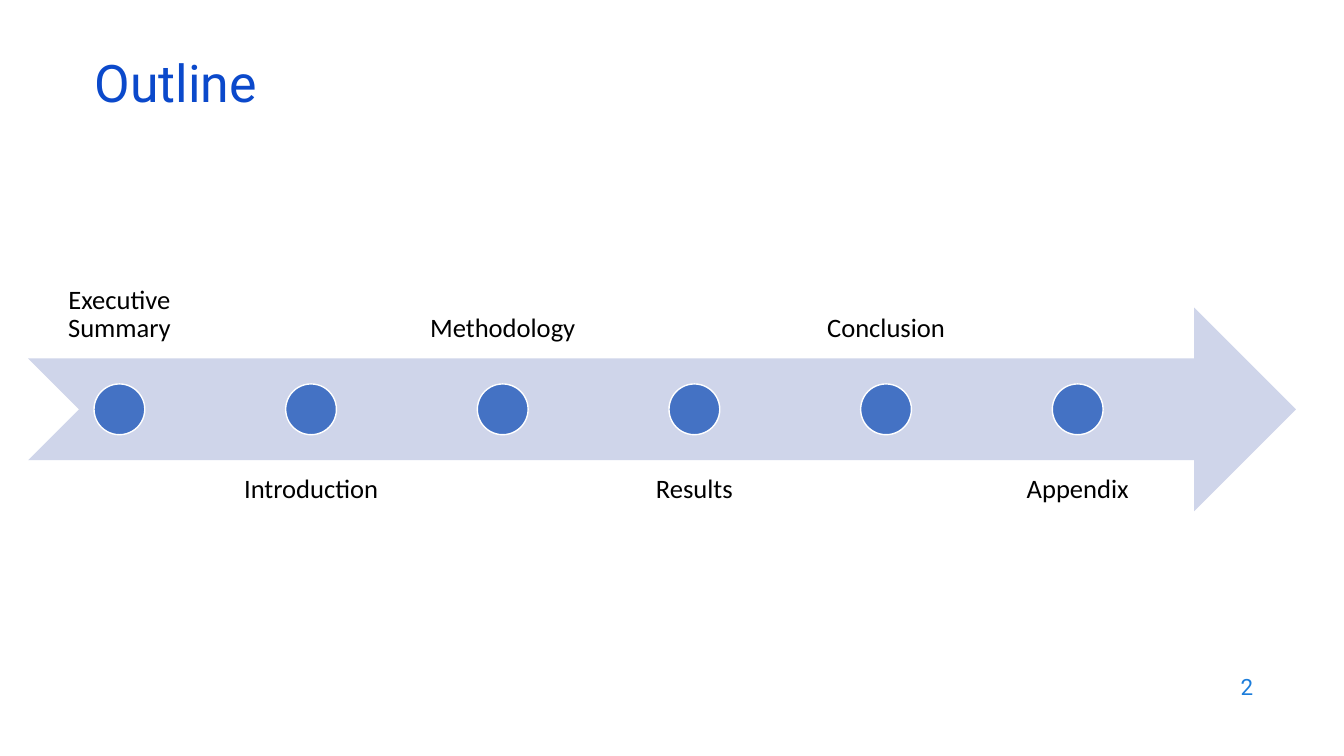
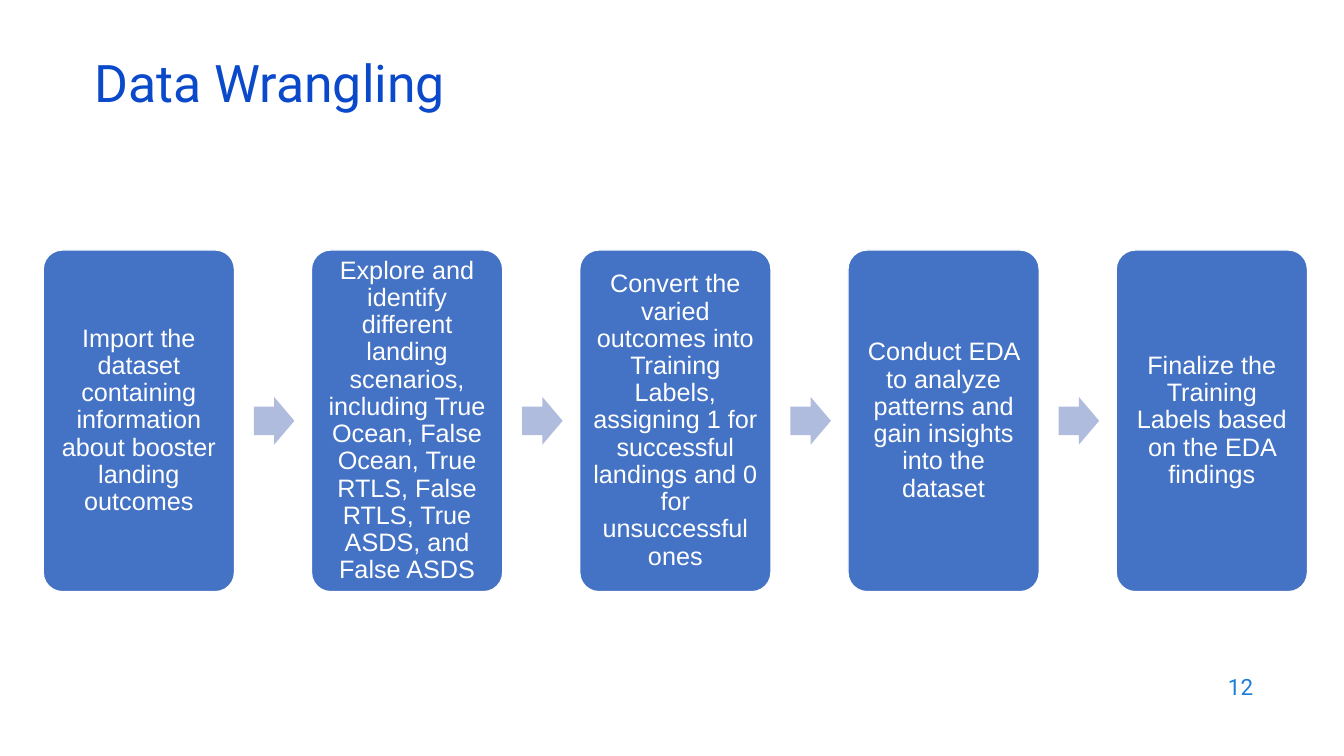
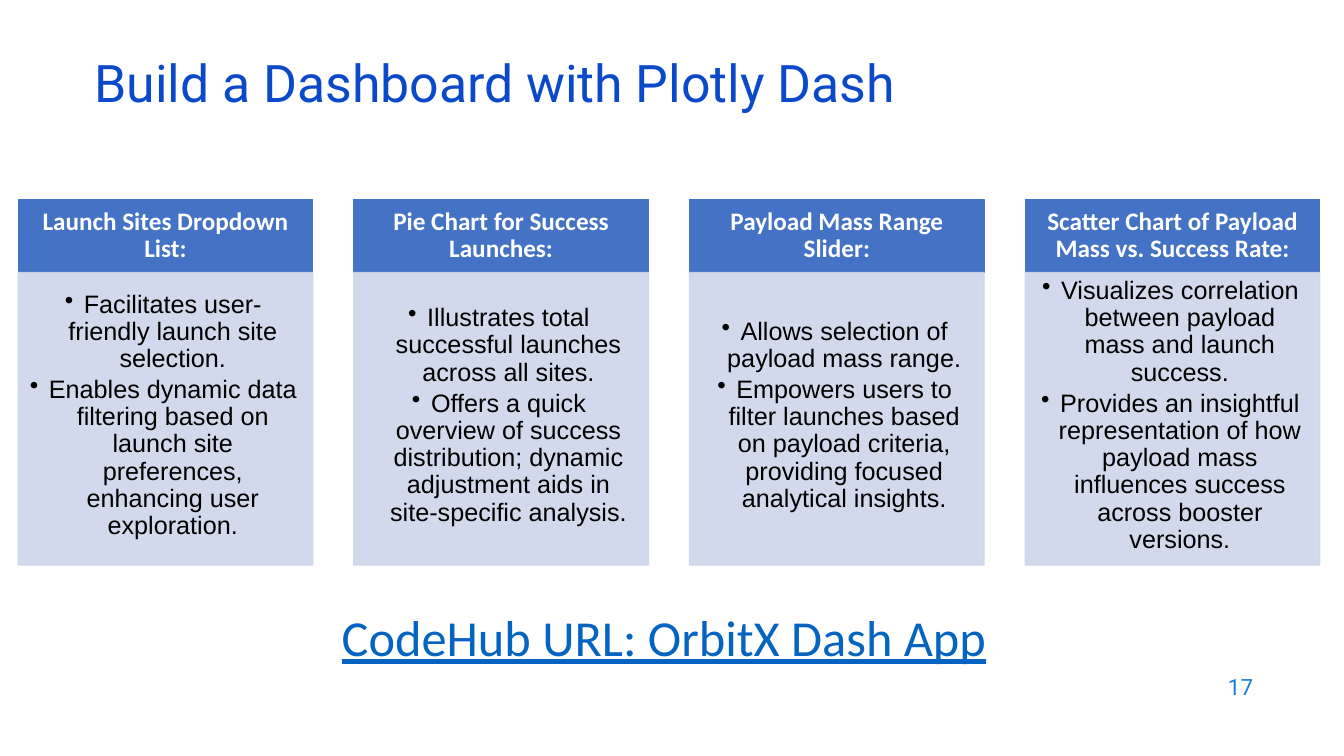
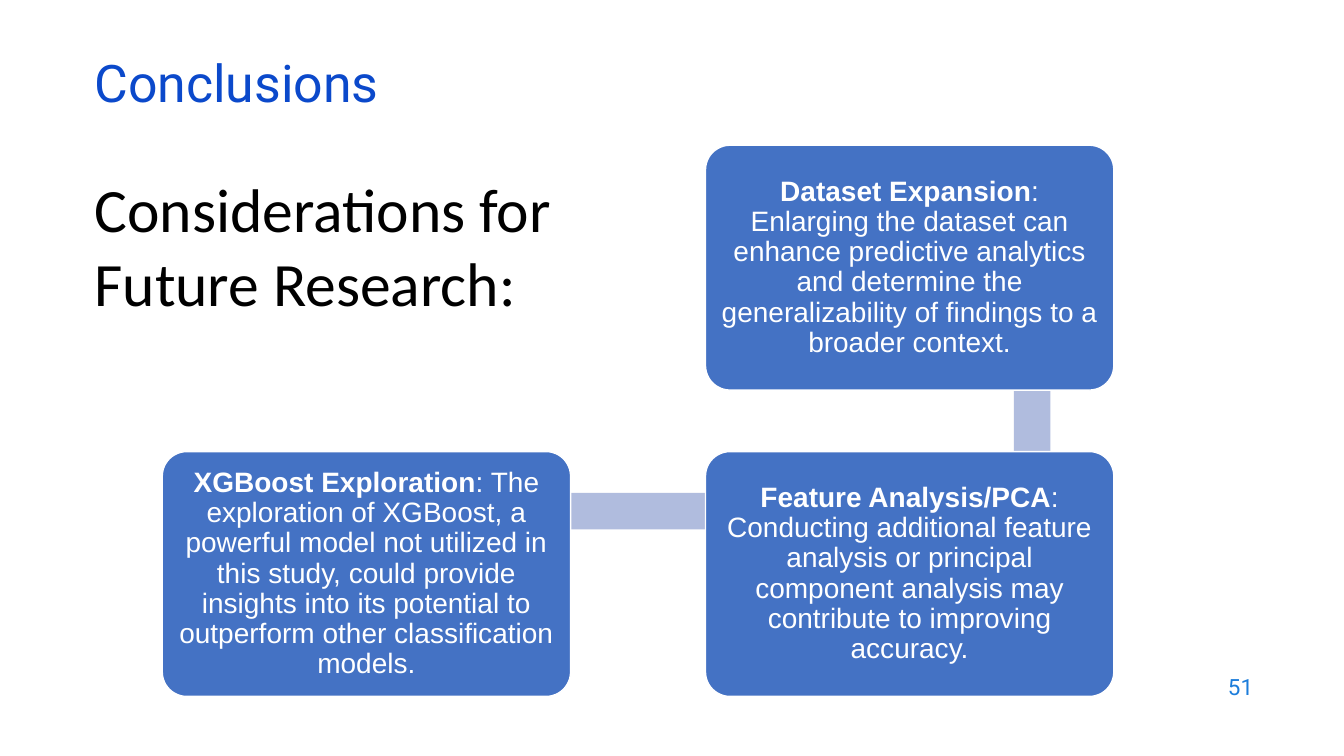
from lxml import etree
from pptx import Presentation
from pptx.dml.color import RGBColor
from pptx.enum import shapes, text
from pptx.oxml import ns
from pptx.util import Cm, Pt

# Shared colours and text styles
TITLE_BLUE = RGBColor(0x0B, 0x49, 0xCB)
NUMBER_BLUE = RGBColor(0x1C, 0x7D, 0xDB)
LINK_BLUE = RGBColor(0x05, 0x63, 0xC1)
BLUE = RGBColor(0x44, 0x72, 0xC4)
PALE_BLUE = RGBColor(0xCF, 0xD5, 0xEA)
SOFT_BLUE = RGBColor(0xB0, 0xBC, 0xDE)
WHITE = RGBColor(0xFF, 0xFF, 0xFF)
BLACK = RGBColor(0, 0, 0)

LEFT, CENTER, RIGHT = (text.PP_ALIGN.LEFT, text.PP_ALIGN.CENTER,
                       text.PP_ALIGN.RIGHT)
TOP, MIDDLE, BOTTOM = (text.MSO_ANCHOR.TOP, text.MSO_ANCHOR.MIDDLE,
                       text.MSO_ANCHOR.BOTTOM)
SHAPE = shapes.MSO_SHAPE
STANDARD_INSETS = (0.25, 0.13, 0.25, 0.13)

TITLE_FONT = {"name": "Roboto", "size": Pt(37), "color": TITLE_BLUE}
NUMBER_FONT = {"name": "Roboto", "size": Pt(16), "color": NUMBER_BLUE}
LABEL_FONT = {"name": "Calibri", "size": Pt(19), "color": BLACK}
STEP_FONT = {"name": "Arial", "size": Pt(18), "color": WHITE}
HEADER_FONT = {"name": "Calibri", "size": Pt(18), "color": WHITE, "bold": True}
BULLET_FONT = {"name": "Arial", "size": Pt(18), "color": BLACK}
LINK_FONT = {"name": "Calibri", "size": Pt(36), "color": LINK_BLUE,
             "underline": True}
IDEA_FONT = {"name": "Arial", "size": Pt(20), "color": WHITE}
LEAD_FONT = {"name": "Calibri", "size": Pt(44), "color": BLACK}

# Content
SECTIONS = ["Executive Summary", "Introduction", "Methodology", "Results",
            "Conclusion", "Appendix"]

STEPS = [
    "Import the dataset containing information about booster landing outcomes",
    "Explore and identify different landing scenarios, including True Ocean, "
    "False Ocean, True RTLS, False RTLS, True ASDS, and False ASDS",
    "Convert the varied outcomes into Training Labels, assigning 1 for "
    "successful landings and 0 for unsuccessful ones",
    "Conduct EDA to analyze patterns and gain insights into the dataset",
    "Finalize the Training Labels based on the EDA findings",
]

WIDGETS = [
    ("Launch Sites Dropdown List:",
     ["Facilitates user-friendly launch site selection.",
      "Enables dynamic data filtering based on launch site preferences, "
      "enhancing user exploration."]),
    ("Pie Chart for Success Launches:",
     ["Illustrates total successful launches across all sites.",
      "Offers a quick overview of success distribution; dynamic adjustment "
      "aids in site-specific analysis."]),
    ("Payload Mass Range Slider:",
     ["Allows selection of payload mass range.",
      "Empowers users to filter launches based on payload criteria, "
      "providing focused analytical insights."]),
    ("Scatter Chart of Payload Mass vs. Success Rate:",
     ["Visualizes correlation between payload mass and launch success.",
      "Provides an insightful representation of how payload mass influences "
      "success across booster versions."]),
]
APP_LINK = "CodeHub URL: OrbitX Dash App"

LEAD = "Considerations for Future Research:"
IDEAS = [  # left, top, heading, explanation
    (17.78, 3.66, "Dataset Expansion",
     ": Enlarging the dataset can enhance predictive analytics and determine "
     "the generalizability of findings to a broader context."),
    (17.78, 11.38, "Feature Analysis/PCA",
     ": Conducting additional feature analysis or principal component "
     "analysis may contribute to improving accuracy."),
    (4.09, 11.38, "XGBoost Exploration",
     ": The exploration of XGBoost, a powerful model not utilized in this "
     "study, could provide insights into its potential to outperform other "
     "classification models."),
]
IDEA_LINKS = [(25.55, 5.19, 0.92, 7.67), (12.37, 12.42, 13.64, 0.92)]


# Helpers
def format_span(span, style):
    for name, value in style.items():
        if name == "color":
            span.font.color.rgb = value
        else:
            setattr(span.font, name, value)


def write(shape, paras, font, align=CENTER, anchor=MIDDLE, spacing=0.9,
          insets=STANDARD_INSETS, bullets=False):
    """Fill a shape; each paragraph is a list of (words, extra format)."""
    frame = shape.text_frame
    frame.auto_size = text.MSO_AUTO_SIZE.NONE
    frame.word_wrap = True
    frame.vertical_anchor = anchor
    for side, inset in zip(("left", "top", "right", "bottom"), insets):
        setattr(frame, f"margin_{side}", Cm(inset))
    for index, spans in enumerate(paras):
        para = frame.add_paragraph() if index else frame.paragraphs[0]
        if bullets:
            props = para._p.get_or_add_pPr()
            props.set("marL", str(Cm(0.48)))
            props.set("indent", str(-Cm(0.48)))
            etree.SubElement(props, ns.qn("a:buChar")).set("char", "•")
        para.alignment = align
        para.line_spacing = spacing
        if index:
            para.space_before = Pt(2.7)
        for words, extra in spans:
            span = para.add_run()
            span.text = words
            format_span(span, {**font, **extra})


def plain(*lines):
    return [[(line, {})] for line in lines]


def add_box(page, area, lines, font, **layout):
    box = page.shapes.add_textbox(*map(Cm, area))
    write(box, plain(*lines), font, **layout)


def add_block(page, kind, area, fill, line=None, adjust=(), opacity=None):
    block = page.shapes.add_shape(kind, *map(Cm, area))
    block.shadow.inherit = False
    block.fill.solid()
    block.fill.fore_color.rgb = fill
    if line is None:
        block.line.fill.background()
    else:
        block.line.color.rgb = line
        block.line.width = Pt(1)
    for index, value in enumerate(adjust):
        block.adjustments[index] = value
    if opacity:
        for color in block._element.spPr.iter(ns.qn("a:srgbClr")):
            etree.SubElement(color, ns.qn("a:alpha")).set(
                "val", str(opacity * 1000))
    return block


def add_page(deck, title, number):
    page = deck.slides.add_slide(deck.slide_layouts[5])
    heading = page.shapes.title
    heading.left, heading.top, heading.width, heading.height = map(
        Cm, (2.13, 1.5, 29.21, 1.52))
    write(heading, plain(title), TITLE_FONT, align=LEFT, spacing=0.7)
    add_box(page, (24.21, 16.74, 7.62, 1.12), [str(number)], NUMBER_FONT,
            align=RIGHT, spacing=1.0)
    return page


# Slides
def build_outline(page):
    left, top, height = 0.71, 7.75, 5.13
    pitch, label_width, dot = 4.83, 4.6, 1.28
    add_block(page, SHAPE.NOTCHED_RIGHT_ARROW, (left, top, 31.95, height),
              PALE_BLUE)
    for index, section in enumerate(SECTIONS):
        x = left + index * pitch
        label_top, anchor = (11.61, TOP) if index % 2 else (3.91, BOTTOM)
        add_box(page, (x, label_top, label_width, height), [section],
                LABEL_FONT, anchor=anchor, insets=(0.38,) * 4)
        add_block(page, SHAPE.OVAL,
                  (x + (label_width - dot) / 2, top + (height - dot) / 2,
                   dot, dot), BLUE, WHITE)


def build_wrangling(page):
    left, top, width, height, pitch = 1.09, 6.3, 4.82, 8.61, 6.76
    arrow_width, arrow_height = 1.02, 1.2
    for index, step in enumerate(STEPS):
        x = left + index * pitch
        card = add_block(page, SHAPE.ROUNDED_RECTANGLE,
                         (x, top, width, height), BLUE, WHITE, [0.1])
        write(card, plain(step), STEP_FONT, insets=(0.18,) * 4)
        if index < len(STEPS) - 1:
            add_block(page, SHAPE.RIGHT_ARROW,
                      (x + width + 0.49, top + (height - arrow_height) / 2,
                       arrow_width, arrow_height), SOFT_BLUE,
                      adjust=[0.6, 0.5])


def build_dashboard(page):
    left, top, width, pitch = 0.46, 5.03, 7.42, 8.46
    header_height, body_height = 1.84, 7.37
    for index, (name, points) in enumerate(WIDGETS):
        x = left + index * pitch
        header = add_block(page, SHAPE.RECTANGLE,
                           (x, top, width, header_height), BLUE, BLUE)
        write(header, plain(name), HEADER_FONT,
              insets=(0.36, 0.2, 0.36, 0.2))
        body = add_block(page, SHAPE.RECTANGLE,
                         (x, top + header_height, width, body_height),
                         PALE_BLUE, PALE_BLUE, opacity=90)
        write(body, plain(*points), BULLET_FONT, bullets=True,
              insets=(0.25, 0.25, 0.36, 0.41))
    add_box(page, (2.13, 15.14, 29.21, 1.8), [APP_LINK], LINK_FONT,
            anchor=TOP, spacing=1.0)


def build_conclusions(page):
    for area in IDEA_LINKS:
        add_block(page, SHAPE.RECTANGLE, area, SOFT_BLUE)
    for left, top, heading, explanation in IDEAS:
        card = add_block(page, SHAPE.ROUNDED_RECTANGLE,
                         (left, top, 10.29, 6.17), BLUE, WHITE, [0.1])
        write(card, [[(heading, {"bold": True}), (explanation, {})]],
              IDEA_FONT, insets=(0.2,) * 4)
    add_box(page, (2.13, 4.17, 12.75, 4.01), [LEAD], LEAD_FONT,
            align=LEFT, anchor=TOP, spacing=1.0)


PAGES = [
    ("Outline", 2, build_outline),
    ("Data Wrangling", 12, build_wrangling),
    ("Build a Dashboard with Plotly Dash", 17, build_dashboard),
    ("Conclusions", 51, build_conclusions),
]


def main():
    deck = Presentation()
    deck.slide_width, deck.slide_height = Cm(33.87), Cm(19.05)
    for title, number, build in PAGES:
        build(add_page(deck, title, number))
    deck.save("out.pptx")


if __name__ == "__main__":
    main()
